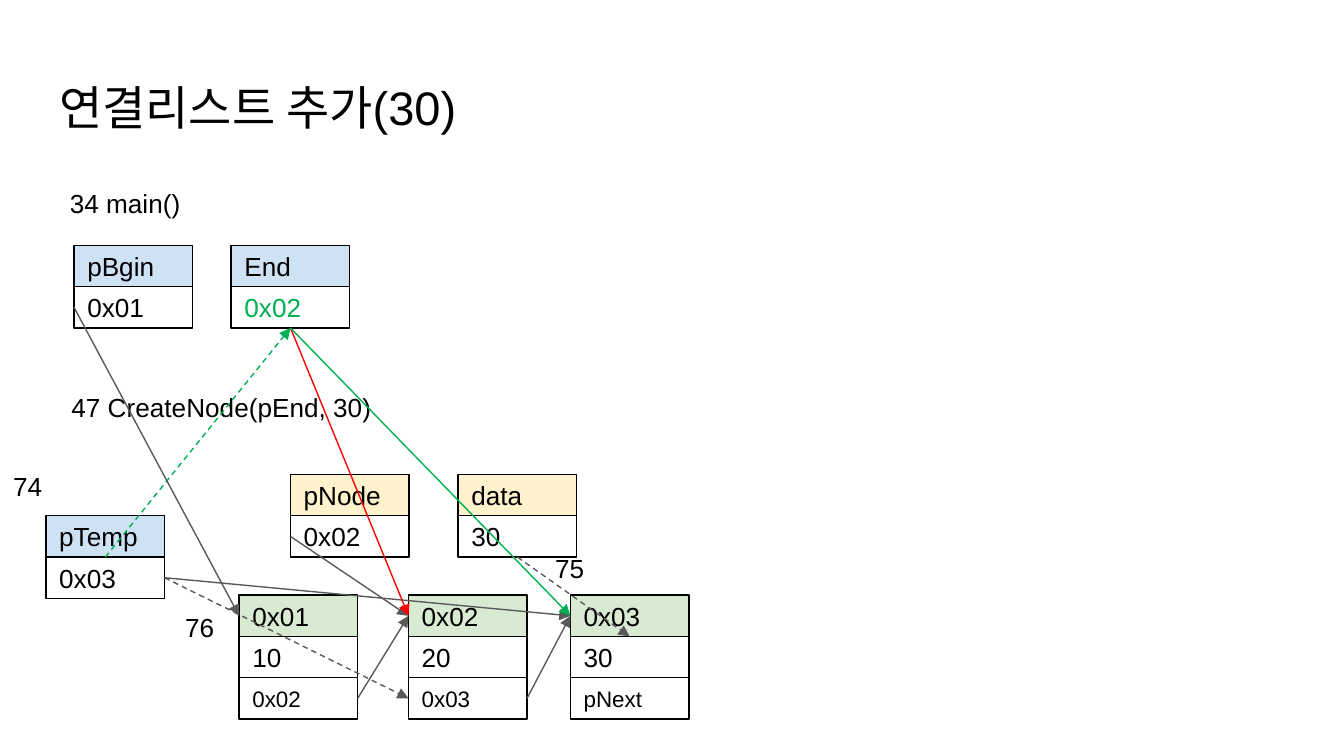
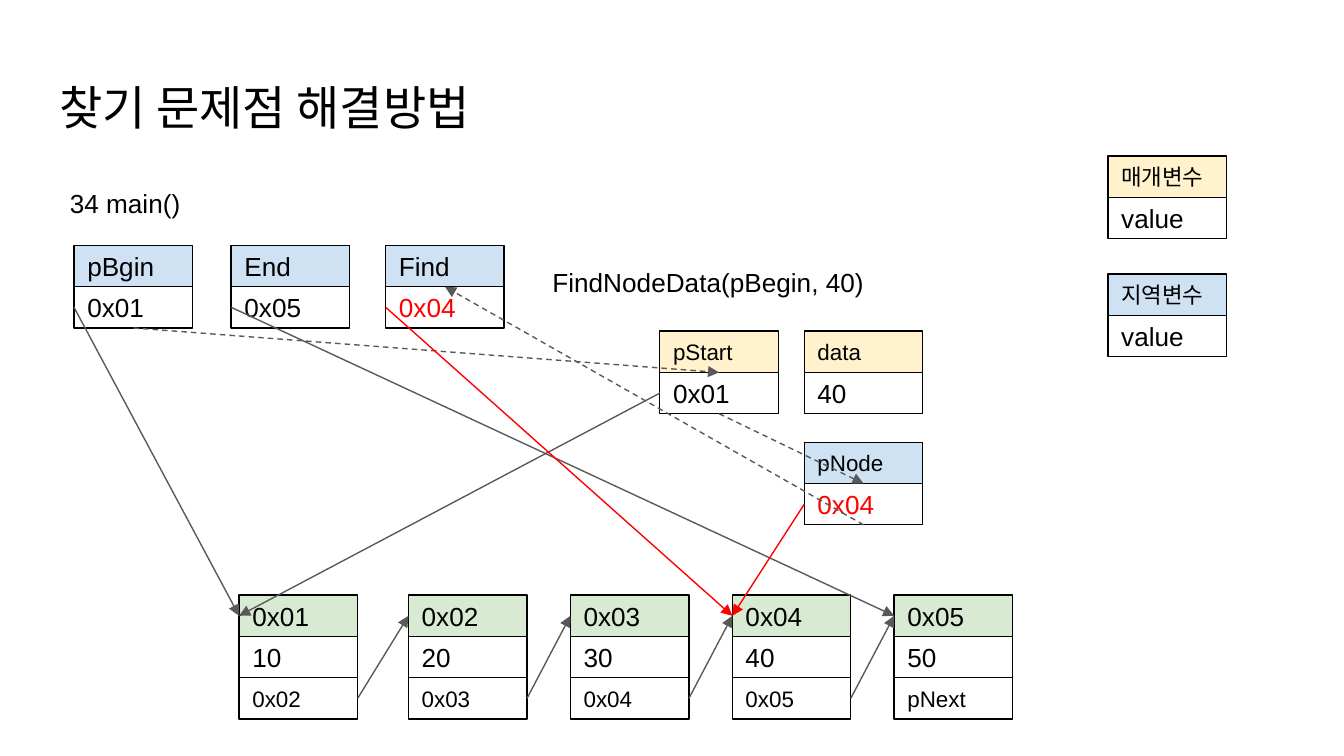
"""Build two slides that diagram adding to and searching a linked list."""
from lxml import etree
from pptx import Presentation
from pptx import util as u
from pptx.dml.color import RGBColor
from pptx.enum import dml, shapes, text
from pptx.oxml import ns

BLACK, WHITE, GREY, RED, GREEN = "000000", "FFFFFF", "595959", "FF0000", "00B050"
LOCAL, PARAMETER, NODE = "CFE2F3", "FFF2CC", "D9EAD3"
FONT = "Arial"
CELL_WIDTH, ROW = 2.24, 0.78
MAIN_TOP, NODE_TOP = 4.64, 11.25
NODE_LEFTS = [4.52] + [7.72 + 3.06 * step for step in range(4)]
MAIN_CAPTION = (1.07, 3.3, 13.94, "34 main()")
ANCHORS = {
    "header left": (0, 0.5),
    "value left": (0, 1.5),
    "value right": (1, 1.5),
    "next left": (0, 2.5),
    "next right": (1, 2.5),
    "middle": (0.5, 1),
    "bottom": (0.5, 2),
}

DIAGRAMS = [
    {
        "title": "연결리스트 추가(30)",
        "captions": [
            MAIN_CAPTION,
            (1.1, 7.14, 13.94, "47 CreateNode(pEnd, 30)"),
            (0, 8.64, 1.8, "74"),
            (10.24, 10.19, 1.12, "75"),
            (3.25, 11.3, 1.12, "76"),
        ],
        "variables": [
            ("pBgin", 1.4, MAIN_TOP, LOCAL, 14, "0x01", BLACK),
            ("End", 4.37, MAIN_TOP, LOCAL, 14, "0x02", GREEN),
            ("pNode", 5.49, 8.97, PARAMETER, 14, "0x02", BLACK),
            ("data", 8.66, 8.97, PARAMETER, 14, "30", BLACK),
            ("pTemp", 0.87, 9.75, LOCAL, 14, "0x03", BLACK),
        ],
        "node count": 3,
        "arrows": [
            ("pNode", "value left", "0x02", "header left", GREY, False),
            ("pTemp", "value right", "0x03", "header left", GREY, False),
            ("pTemp", "middle", "End", "bottom", GREEN, True),
            ("End", "bottom", "0x02", "header left", RED, False),
            ("pBgin", "value left", "0x01", "header left", GREY, False),
            ("data", "bottom", "0x03", "middle", GREY, True),
            ("pTemp", "value right", "0x02", "next left", GREY, True),
            ("End", "bottom", "0x03", "header left", GREEN, False),
        ],
    },
    {
        "title": "찾기 문제점 해결방법",
        "captions": [
            MAIN_CAPTION,
            (10.19, 4.78, 9.93, "FindNodeData(pBegin, 40)"),
        ],
        "variables": [
            ("pBgin", 1.4, MAIN_TOP, LOCAL, 14, "0x01", BLACK),
            ("End", 4.37, MAIN_TOP, LOCAL, 14, "0x05", BLACK),
            ("Find", 7.29, MAIN_TOP, LOCAL, 14, "0x04", RED),
            ("매개변수", 20.94, 2.95, PARAMETER, 12, "value", BLACK),
            ("지역변수", 20.94, 5.18, LOCAL, 12, "value", BLACK),
            ("pStart", 12.47, 6.26, PARAMETER, 12, "0x01", BLACK),
            ("data", 15.2, 6.26, PARAMETER, 12, "40", BLACK),
            ("pNode", 15.2, 8.36, LOCAL, 12, "0x04", RED),
        ],
        "node count": 5,
        "arrows": [
            ("End", "value left", "0x05", "header left", GREY, False),
            ("pBgin", "value left", "0x01", "header left", GREY, False),
            ("pBgin", "bottom", "pStart", "middle", GREY, True),
            ("pStart", "value left", "0x01", "header left", GREY, False),
            ("pStart", "bottom", "pNode", "middle", GREY, True),
            ("pNode", "value left", "0x04", "header left", RED, False),
            ("pNode", "bottom", "Find", "middle", GREY, True),
            ("Find", "value left", "0x04", "header left", RED, False),
        ],
    },
]


def color(hex_string):
    return RGBColor.from_string(hex_string)


def write(shape, content, size, font_color=BLACK, anchor=text.MSO_ANCHOR.TOP):
    frame = shape.text_frame
    frame.text = content
    frame.word_wrap = True
    frame.vertical_anchor = anchor
    frame.margin_left = frame.margin_right = u.Cm(0.25)
    frame.margin_top = frame.margin_bottom = u.Cm(0.25)
    paragraph = frame.paragraphs[0]
    paragraph.alignment = text.PP_ALIGN.LEFT
    font = paragraph.runs[0].font
    font.name = FONT
    font.size = u.Pt(size)
    font.color.rgb = color(font_color)


presentation = Presentation()
presentation.slide_width = u.Cm(25.4)
presentation.slide_height = u.Cm(14.29)

for diagram in DIAGRAMS:
    slide = presentation.slides.add_slide(presentation.slide_layouts[6])
    title = slide.shapes.add_textbox(u.Cm(0.87), u.Cm(1.24), u.Cm(23.67), u.Cm(1.59))
    write(title, diagram["title"], 25.2)

    for left, top, width, caption in diagram["captions"]:
        shape = slide.shapes.add_textbox(u.Cm(left), u.Cm(top), u.Cm(width), u.Cm(1.12))
        write(shape, caption, 14)
        shape.text_frame.auto_size = text.MSO_AUTO_SIZE.SHAPE_TO_FIT_TEXT

    boxes = [
        (left, top, fill, [(name, size, BLACK), (value, 14, value_color)])
        for name, left, top, fill, size, value, value_color in diagram["variables"]
    ]
    arrows = list(diagram["arrows"])
    count = diagram["node count"]
    for number, left in enumerate(NODE_LEFTS[:count], 1):
        address, following = f"0x0{number}", f"0x0{number + 1}"
        is_last = number == count
        rows = [
            (address, 14, BLACK),
            (str(number * 10), 14, BLACK),
            ("pNext" if is_last else following, 12, BLACK),
        ]
        boxes.append((left, NODE_TOP, NODE, rows))
        if not is_last:
            arrows.append((address, "next right", following, "header left", GREY, False))

    corners = {}
    for left, top, header_fill, rows in boxes:
        corners[rows[0][0]] = left, top
        group = slide.shapes.add_group_shape()
        for index, (content, size, font_color) in enumerate(rows):
            cell = group.shapes.add_shape(
                shapes.MSO_SHAPE.RECTANGLE,
                u.Cm(left), u.Cm(top + index * ROW), u.Cm(CELL_WIDTH), u.Cm(ROW),
            )
            cell.shadow.inherit = False
            cell.fill.solid()
            cell.fill.fore_color.rgb = color(WHITE if index else header_fill)
            cell.line.color.rgb = color(BLACK)
            cell.line.width = u.Pt(0.75)
            write(cell, content, size, font_color, text.MSO_ANCHOR.MIDDLE)

    for source, source_anchor, target, target_anchor, line_color, dashed in arrows:
        ends = []
        for name, anchor in ((source, source_anchor), (target, target_anchor)):
            left, top = corners[name]
            across, down = ANCHORS[anchor]
            ends += [u.Cm(left + across * CELL_WIDTH), u.Cm(top + down * ROW)]
        arrow = slide.shapes.add_connector(shapes.MSO_CONNECTOR.STRAIGHT, *ends)
        arrow.line.color.rgb = color(line_color)
        arrow.line.width = u.Pt(0.75)
        if dashed:
            arrow.line.dash_style = dml.MSO_LINE.DASH
        head = etree.SubElement(arrow.line._get_or_add_ln(), ns.qn("a:tailEnd"))
        head.set("type", "triangle")
        etree.SubElement(arrow._element.spPr, ns.qn("a:effectLst"))

presentation.save("out.pptx")
